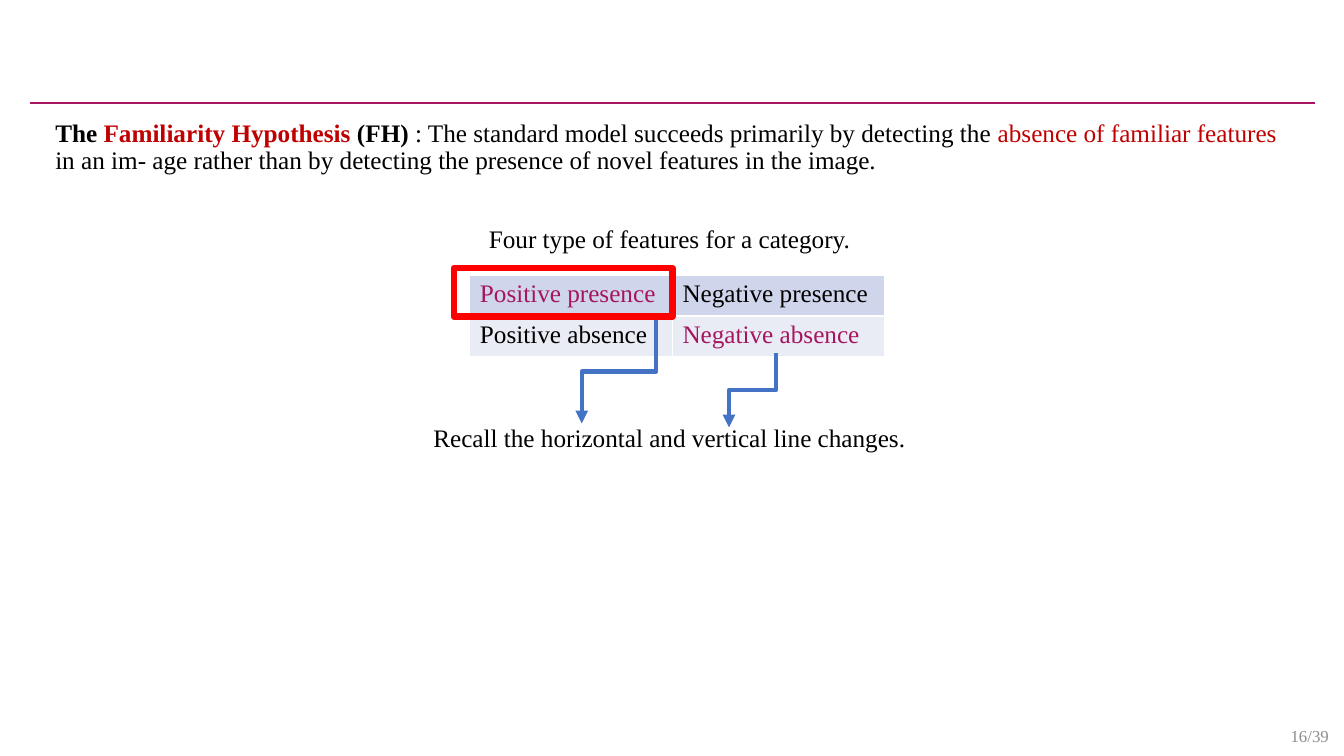
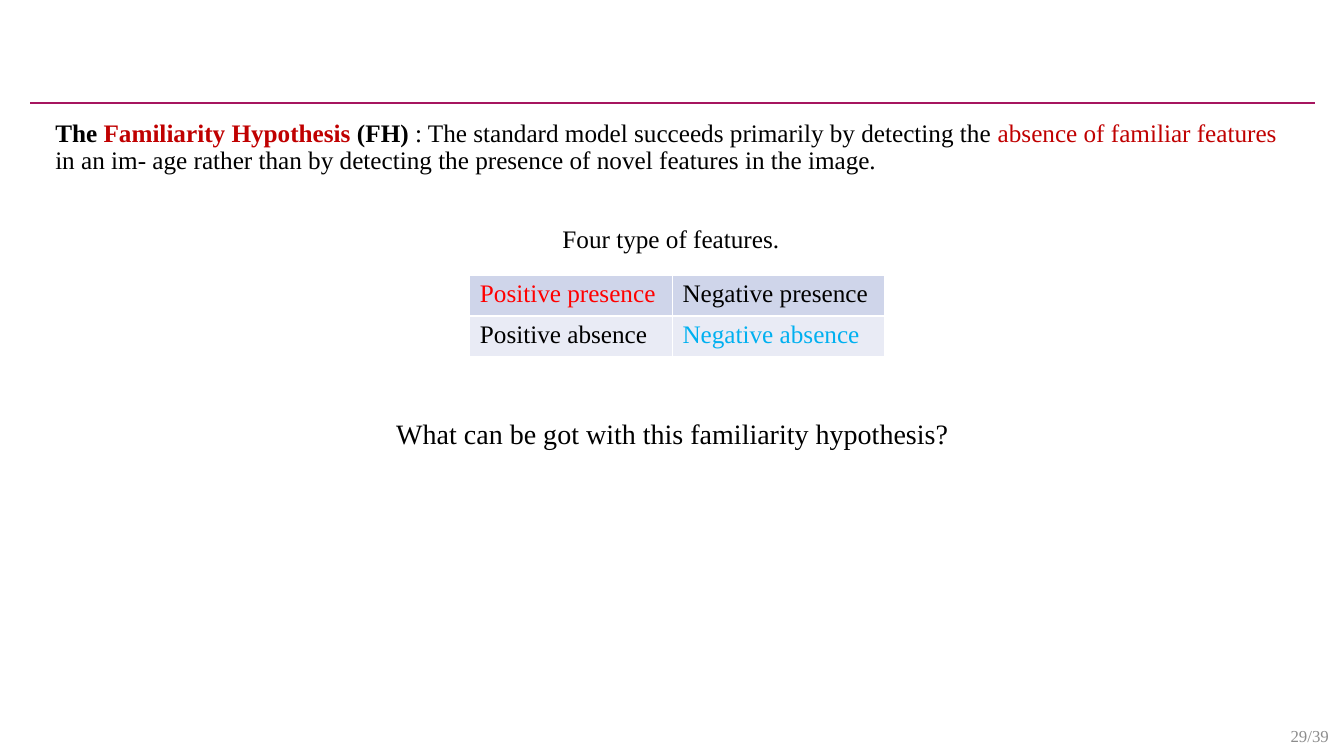
"""Build two slides on the familiarity hypothesis and its four feature types."""
from lxml import etree
from pptx import Presentation
from pptx import util as u
from pptx.dml.color import RGBColor
from pptx.enum import shapes, text
from pptx.oxml import ns

FONT = "Times New Roman"
BLACK, WINE, DARK_RED, RED = "000000", "A6155F", "C00000", "FF0000"
BLUE, SKY, GREY, WHITE = "4472C4", "00B0F0", "8C8C8C", "FFFFFF"
BANDS = ["CFD5EA", "E9EBF5"]
FEATURES = [["Positive presence", "Negative presence"],
            ["Positive absence", "Negative absence"]]
HYPOTHESIS = [
    ("The ", {"bold": True}),
    ("Familiarity Hypothesis", {"bold": True, "color": DARK_RED}),
    (" (FH) ", {"bold": True}),
    (": The standard model succeeds primarily by detecting the ", {}),
    ("absence of familiar features ", {"color": DARK_RED}),
    ("in an im- age rather than by detecting the presence of novel features"
     " in the image.", {}),
]


def rgb(color):
    """Turn a hex string into a colour."""
    return RGBColor.from_string(color)


def write(para, words, size=18, color=BLACK, bold=False):
    """Add one formatted span of text to a paragraph."""
    span = para.add_run()
    span.text = words
    span.font.name = FONT
    span.font.size = u.Pt(size)
    span.font.bold = bold
    span.font.color.rgb = rgb(color)


class Slides:
    """Hold the deck, its shared style and the current page."""

    def __init__(self):
        """Start an empty widescreen deck."""
        self.deck = Presentation()
        self.deck.slide_width = u.Inches(13.33)
        self.deck.slide_height = u.Inches(7.5)
        self.page = None

    def start(self, number):
        """Add a page with the rule, the hypothesis and the page number."""
        self.page = self.deck.slides.add_slide(self.deck.slide_layouts[6])
        self.line(shapes.MSO_CONNECTOR.STRAIGHT, 0.3, 1.02, 13.04, 1.02, WINE, 1.5)
        self.label([(f"{number}/39", {"size": 12, "color": GREY})],
                   12.65, 7.1, 0.68, 0.4, align=text.PP_ALIGN.CENTER,
                   anchor=text.MSO_ANCHOR.MIDDLE)
        self.label(HYPOTHESIS, 0.45, 1.15, 12.44, 0.65, wrap=True, spacing=0.9)

    def label(self, spans, left, top, width, height, wrap=False, spacing=1.0,
              align=text.PP_ALIGN.LEFT, anchor=text.MSO_ANCHOR.TOP):
        """Add a text box with one paragraph of spans."""
        box = self.page.shapes.add_textbox(*map(u.Inches, (left, top, width, height)))
        box.text_frame.word_wrap = wrap
        box.text_frame.vertical_anchor = anchor
        para = box.text_frame.paragraphs[0]
        para.alignment = align
        para.line_spacing = spacing
        for words, style in spans:
            write(para, words, **style)

    def line(self, kind, x1, y1, x2, y2, color, width):
        """Add a connector without a shadow."""
        line = self.page.shapes.add_connector(kind, *map(u.Inches, (x1, y1, x2, y2)))
        line.line.color.rgb = rgb(color)
        line.line.width = u.Pt(width)
        etree.SubElement(line.element.spPr, ns.qn("a:effectLst"))
        return line

    def arrow(self, x1, y1, x2, y2):
        """Add an elbow arrow that leaves downwards, turned a quarter from level."""
        middle_x, middle_y = (x1 + x2) / 2, (y1 + y2) / 2
        half_run, half_rise = (y2 - y1) / 2, (x1 - x2) / 2
        arrow = self.line(shapes.MSO_CONNECTOR.ELBOW,
                          middle_x - half_run, middle_y - half_rise,
                          middle_x + half_run, middle_y + half_rise, BLUE, 3)
        arrow.rotation = 90
        outline = arrow.element.spPr.find(ns.qn("a:ln"))
        etree.SubElement(outline, ns.qn("a:tailEnd"), type="triangle")

    def frame(self, left, top, width, height):
        """Add an unfilled red frame."""
        frame = self.page.shapes.add_shape(
            shapes.MSO_SHAPE.RECTANGLE, *map(u.Inches, (left, top, width, height)))
        frame.shadow.inherit = False
        frame.fill.background()
        frame.line.color.rgb = rgb(RED)
        frame.line.width = u.Pt(4.5)

    def border(self, cell):
        """Give a cell thin white borders."""
        properties = cell._tc.get_or_add_tcPr()
        for side in ("lnL", "lnR", "lnT", "lnB"):
            edge = etree.SubElement(properties, ns.qn(f"a:{side}"), w=str(u.Pt(1)))
            fill = etree.SubElement(edge, ns.qn("a:solidFill"))
            etree.SubElement(fill, ns.qn("a:srgbClr"), val=WHITE)

    def features(self, accents):
        """Add the feature table with accent colours for some cells."""
        table = self.page.shapes.add_table(
            2, 2, *map(u.Inches, (4.66, 2.73, 4.11, 0.81))).table
        table.first_row = table.horz_banding = False
        for column, width in zip(table.columns, (2.01, 2.1)):
            column.width = u.Inches(width)
        for row, (names, band) in enumerate(zip(FEATURES, BANDS)):
            for column, name in enumerate(names):
                cell = table.cell(row, column)
                self.border(cell)
                cell.fill.solid()
                cell.fill.fore_color.rgb = rgb(band)
                write(cell.text_frame.paragraphs[0], name,
                      color=accents.get(name, BLACK))


def main():
    """Build both pages and save the deck."""
    slides = Slides()

    slides.start(16)
    slides.features({"Positive presence": WINE, "Negative absence": WINE})
    slides.label([("Four type of features for a category.", {})], 4.75, 2.17, 3.82, 0.4)
    slides.label([("Recall the horizontal and vertical line changes.", {})],
                 4.2, 4.14, 4.94, 0.4)
    slides.frame(4.5, 2.66, 2.17, 0.48)
    slides.arrow(6.51, 3.17, 5.77, 4.2)
    slides.arrow(7.7, 3.5, 7.23, 4.24)

    slides.start(29)
    slides.features({"Positive presence": RED, "Negative absence": SKY})
    slides.label([("Four type of features.", {})], 5.48, 2.17, 2.38, 0.4)
    slides.label([("What can be got with this familiarity hypothesis?", {"size": 20})],
                 0.45, 4.12, 12.44, 0.4, wrap=True, spacing=0.9,
                 align=text.PP_ALIGN.CENTER)

    slides.deck.save("out.pptx")


if __name__ == "__main__":
    main()
